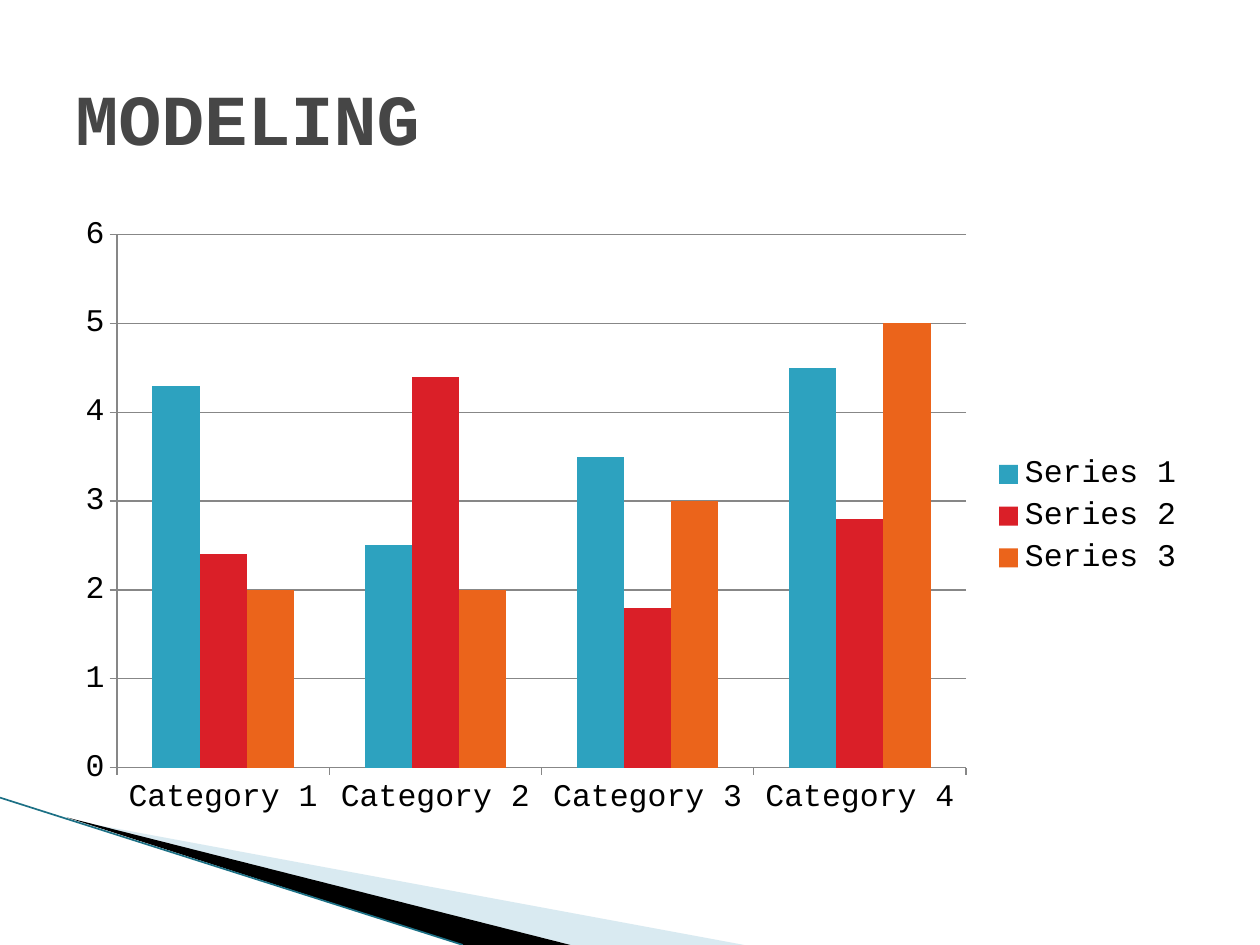
from collections import namedtuple
from dataclasses import dataclass

from lxml import etree
from pptx import Presentation
from pptx import util as u
from pptx.chart import data as chart_data
from pptx.dml import color
from pptx.enum import chart as chart_enum, shapes, text
from pptx.oxml import ns

Box = namedtuple("Box", "left top width height")


@dataclass(frozen=True)
class Theme:
    font: str = "Courier New"
    title_size: int = 41
    chart_size: int = 18
    title: str = "464646"
    label: str = "000000"
    axis: str = "878787"
    wing: str = "A0CBDC"
    wing_opacity: int = 40
    shade: str = "000000"
    edge: str = "1C7085"
    series: tuple = ("2DA2BF", "DA1F28", "EB641B")


THEME = Theme()


def rgb(value):
    return color.RGBColor.from_string(value)


def set_frame(shape, frame):
    left, top, width, height = (u.Cm(length) for length in frame)
    shift_x, shift_y = shape.left - left, shape.top - top
    outline = shape.element.spPr.find(".//" + ns.qn("a:path"))
    outline.set("w", str(width))
    outline.set("h", str(height))
    for point in outline.iter(ns.qn("a:pt")):
        point.set("x", str(int(point.get("x")) + shift_x))
        point.set("y", str(int(point.get("y")) + shift_y))
    shape.left, shape.top, shape.width, shape.height = left, top, width, height


def add_triangle(slide, box, frame, points, fill, opacity=100):
    corners = [(u.Cm(box.left + x), u.Cm(box.top + y)) for x, y in points]
    builder = slide.shapes.build_freeform(*corners[0])
    builder.add_line_segments(corners[1:], close=True)
    shape = builder.convert_to_shape()
    set_frame(shape, Box(box.left + frame.left, box.top + frame.top,
                         frame.width, frame.height))
    shape.shadow.inherit = False
    shape.fill.solid()
    shape.fill.fore_color.rgb = rgb(fill)
    shape.line.fill.background()
    if opacity < 100:
        fill_color = shape.element.spPr.find(".//" + ns.qn("a:srgbClr"))
        alpha = etree.SubElement(fill_color, ns.qn("a:alpha"))
        alpha.set("val", str(opacity * 1000))


def add_corner_decoration(slide, box):
    bottom = box.height
    add_triangle(slide, box, Box(1.98, -2.19, 10.57, 4.01),
                 [(1.4, 0.45), (15, bottom), (11.5, bottom)],
                 THEME.wing, THEME.wing_opacity)
    add_triangle(slide, box, Box(-0.15, 0, 10.57, 2.34),
                 [(1.35, 0.4), (11.5, bottom), (9.33, bottom)], THEME.shade)
    edge = slide.shapes.add_connector(
        shapes.MSO_CONNECTOR.STRAIGHT, u.Cm(box.left), u.Cm(box.top),
        u.Cm(box.left + 9.33), u.Cm(box.top + bottom))
    edge.line.color.rgb = rgb(THEME.edge)
    edge.line.width = u.Pt(0.95)
    etree.SubElement(edge.element.spPr, ns.qn("a:effectLst"))


def add_title(slide, box, title):
    shape = slide.shapes.add_textbox(*(u.Cm(length) for length in box))
    frame = shape.text_frame
    frame.word_wrap = True
    frame.vertical_anchor = text.MSO_ANCHOR.MIDDLE
    frame.text = title
    font = frame.paragraphs[0].runs[0].font
    font.name = THEME.font
    font.size = u.Pt(THEME.title_size)
    font.bold = True
    font.color.rgb = rgb(THEME.title)


def add_column_chart(slide, box, categories, series_values):
    data = chart_data.CategoryChartData()
    data.categories = categories
    for name, values in series_values.items():
        data.add_series(name, values)
    chart = slide.shapes.add_chart(
        chart_enum.XL_CHART_TYPE.COLUMN_CLUSTERED,
        *(u.Cm(length) for length in box), data).chart
    chart.has_title = False
    chart.font.name = THEME.font
    chart.font.size = u.Pt(THEME.chart_size)
    chart.font.color.rgb = rgb(THEME.label)
    chart.has_legend = True
    chart.legend.position = chart_enum.XL_LEGEND_POSITION.RIGHT
    chart.legend.include_in_layout = False

    plot = chart.plots[0]
    plot.gap_width = 150
    plot.overlap = 0
    plot.vary_by_categories = False
    for series, fill in zip(plot.series, THEME.series):
        series.format.fill.solid()
        series.format.fill.fore_color.rgb = rgb(fill)
        series.invert_if_negative = False

    value_axis = chart.value_axis
    value_axis.minimum_scale = 0
    value_axis.maximum_scale = 6
    value_axis.major_unit = 1
    value_axis.has_major_gridlines = True
    for axis in (chart.category_axis, value_axis):
        axis.major_tick_mark = chart_enum.XL_TICK_MARK.OUTSIDE
    for part in (chart.category_axis, value_axis, value_axis.major_gridlines):
        part.format.line.color.rgb = rgb(THEME.axis)
        part.format.line.width = u.Pt(0.75)


def main():
    presentation = Presentation()
    presentation.slide_width = u.Cm(25.4)
    presentation.slide_height = u.Cm(19.05)
    slide = presentation.slides.add_slide(presentation.slide_layouts[6])
    add_corner_decoration(slide, Box(0, 16.08, 15, 2.97))
    add_column_chart(
        slide, Box(1.27, 4.12, 22.86, 12.57),
        [f"Category {number}" for number in range(1, 5)],
        {"Series 1": (4.3, 2.5, 3.5, 4.5),
         "Series 2": (2.4, 4.4, 1.8, 2.8),
         "Series 3": (2, 2, 3, 5)})
    add_title(slide, Box(1.27, 0.76, 22.86, 3.18), "MODELING")
    presentation.save("out.pptx")


if __name__ == "__main__":
    main()
